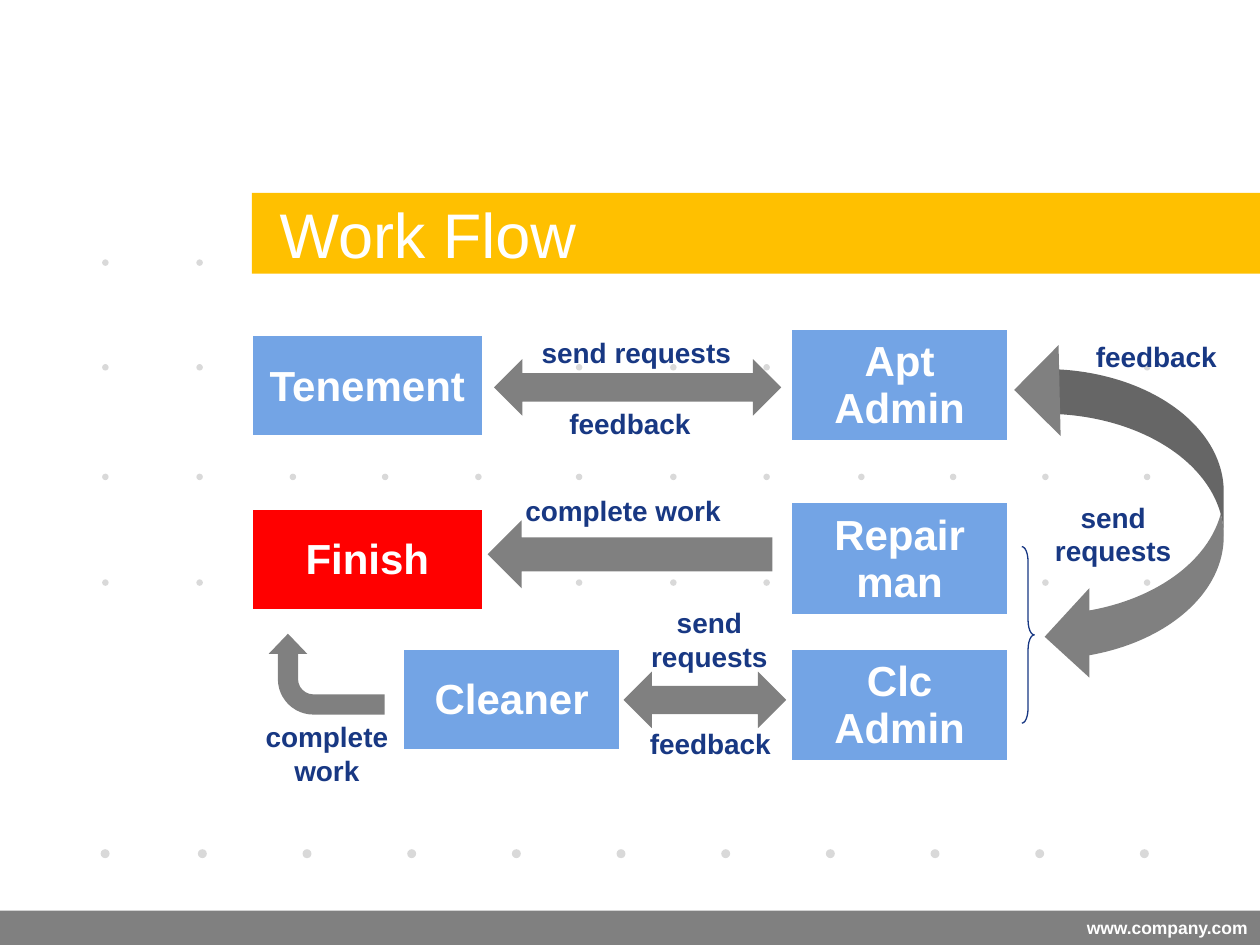
from lxml import etree
from pptx import Presentation
from pptx.dml.color import RGBColor
from pptx.enum.shapes import MSO_SHAPE
from pptx.enum.text import MSO_ANCHOR, PP_ALIGN
from pptx.oxml.ns import qn
from pptx.util import Cm, Pt

LEFT, CENTER, RIGHT = PP_ALIGN.LEFT, PP_ALIGN.CENTER, PP_ALIGN.RIGHT
MIDDLE, TOP = MSO_ANCHOR.MIDDLE, MSO_ANCHOR.TOP
RECTANGLE, OVAL = MSO_SHAPE.RECTANGLE, MSO_SHAPE.OVAL
BLANK_LAYOUT = 6

COLORS = {
    "white": "FFFFFF",
    "gray": "808080",
    "dot": "D9D9D9",
    "amber": "FFC000",
    "blue": "73A4E5",
    "red": "FF0000",
    "navy": "183883",
}

presentation = Presentation()
presentation.slide_width = Cm(25.4)
presentation.slide_height = Cm(19.05)
slide = presentation.slides.add_slide(presentation.slide_layouts[BLANK_LAYOUT])


def add_filled_shape(kind, box, color):
    shape = slide.shapes.add_shape(kind, *map(Cm, box))
    shape.shadow.inherit = False
    shape.fill.solid()
    shape.fill.fore_color.rgb = RGBColor.from_string(COLORS[color])
    shape.line.fill.background()
    return shape


def write_text(text_frame, text, size, color, alignment, bold=True):
    text_frame.word_wrap = True
    text_frame.text = text
    font_format = {"name": "Arial", "size": Pt(size), "bold": bold}
    for paragraph in text_frame.paragraphs:
        paragraph.alignment = alignment
        for name, value in font_format.items():
            setattr(paragraph.font, name, value)
        paragraph.font.color.rgb = RGBColor.from_string(COLORS[color])


# Footer and background dots
footer = add_filled_shape(RECTANGLE, (0, 18.36, 25.4, 0.69), "gray")
write_text(footer.text_frame, "www.company.com", 10, "white", RIGHT)
footer.text_frame.vertical_anchor = MIDDLE

dot_columns = [2.06, 3.96, 5.84, 7.7, 9.58, 11.61,
               13.51, 15.39, 17.3, 19.15, 21.01, 23.06]
dot_rows = [(5.23, 2), (7.34, 12), (9.55, 12), (11.68, 12)]
for top, count in dot_rows:
    for left in dot_columns[:count]:
        add_filled_shape(OVAL, (left, top, 0.13, 0.13), "dot")
for left in [2.03] + [3.99 + 2.11 * step for step in range(10)]:
    add_filled_shape(OVAL, (left, 17.12, 0.18, 0.18), "dot")

# Title bar
title = add_filled_shape(RECTANGLE, (5.08, 3.89, 20.32, 1.63), "amber")
write_text(title.text_frame, "Work Flow", 36, "white", LEFT, bold=False)
title.text_frame.vertical_anchor = MIDDLE
title.text_frame.margin_left = Cm(0.56)

# Workflow steps, each a one-cell table
steps = [
    ("Tenement", (5.08, 6.76, 4.65, 2.06), "blue"),
    ("Apt Admin", (15.95, 6.63, 4.37, 2.29), "blue"),
    ("Finish", (5.08, 10.26, 4.65, 2.06), "red"),
    ("Repair man", (15.95, 10.13, 4.37, 2.29), "blue"),
    ("Cleaner", (8.13, 13.08, 4.37, 2.06), "blue"),
    ("Clc\nAdmin", (15.95, 13.08, 4.37, 2.29), "blue"),
]
border_widths = {"a:lnL": 1, "a:lnR": 1, "a:lnT": 1, "a:lnB": 3}
for text, box, color in steps:
    table = slide.shapes.add_table(1, 1, *map(Cm, box)).table
    table.first_row = False
    table.horz_banding = False
    cell = table.cell(0, 0)
    cell_properties = cell._tc.get_or_add_tcPr()
    for tag, width in border_widths.items():
        border = etree.SubElement(cell_properties, qn(tag), w=str(Pt(width)))
        border_fill = etree.SubElement(border, qn("a:solidFill"))
        etree.SubElement(border_fill, qn("a:srgbClr"), val=COLORS["white"])
    cell.fill.solid()
    cell.fill.fore_color.rgb = RGBColor.from_string(COLORS[color])
    cell.vertical_anchor = MIDDLE
    write_text(cell.text_frame, text, 24, "white", CENTER)

# Arrows between the steps: kind, box, rotation, adjustments
arrows = [
    (MSO_SHAPE.CURVED_LEFT_ARROW, (21.06, 7.44, 3.61, 6.3), 0, []),
    (MSO_SHAPE.RIGHT_ARROW, (9.83, 10.49, 5.74, 1.37), 180, []),
    (MSO_SHAPE.BENT_ARROW, (5.77, 12.42, 1.63, 2.34), 270,
     [0.25, 0.24, 0.25, 0.44]),
    (MSO_SHAPE.LEFT_RIGHT_ARROW, (9.96, 7.24, 5.79, 1.14), 0, []),
    (MSO_SHAPE.LEFT_RIGHT_ARROW, (12.57, 13.54, 3.28, 1.14), 0, []),
    (MSO_SHAPE.RIGHT_TRIANGLE, (20.7, 7.24, 1.32, 1.27), 44.8, []),
]
for kind, box, rotation, adjustments in arrows:
    arrow = add_filled_shape(kind, box, "gray")
    arrow.rotation = rotation
    for index, value in enumerate(adjustments):
        arrow.adjustments[index] = value

brace = add_filled_shape(MSO_SHAPE.RIGHT_BRACE, (20.6, 11.02, 0.25, 3.56), "white")
brace.adjustments[0] = 1.19
brace.line.color.rgb = RGBColor.from_string(COLORS["navy"])
brace.line.width = Pt(0.75)

# Arrow labels
labels = [
    ("send requests", (10.67, 6.63, 4.45, 0.94), LEFT),
    ("feedback", (11.23, 8.08, 3.05, 0.94), LEFT),
    ("feedback", (21.84, 6.73, 3.05, 0.94), LEFT),
    ("send requests", (20.93, 9.96, 3.02, 1.63), CENTER),
    ("complete work", (10.34, 9.83, 4.72, 0.94), LEFT),
    ("send requests", (12.75, 12.09, 3.1, 1.63), CENTER),
    ("feedback", (12.85, 14.53, 3.05, 0.94), LEFT),
    ("complete work", (4.95, 14.38, 3.28, 1.63), CENTER),
]
for text, box, alignment in labels:
    label = slide.shapes.add_textbox(*map(Cm, box))
    write_text(label.text_frame, text, 16, "navy", alignment)
    label.text_frame.vertical_anchor = TOP

presentation.save("out.pptx")
